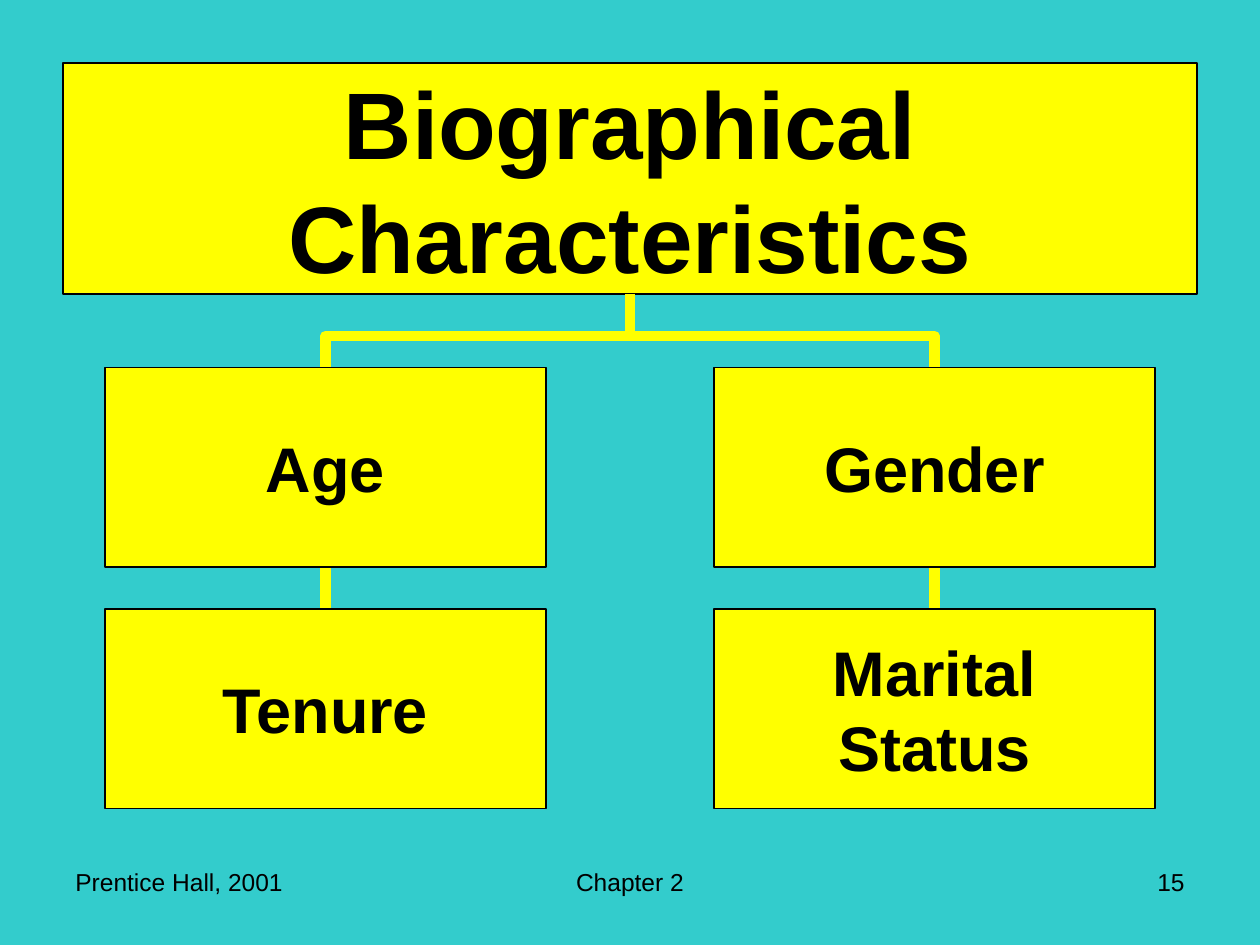
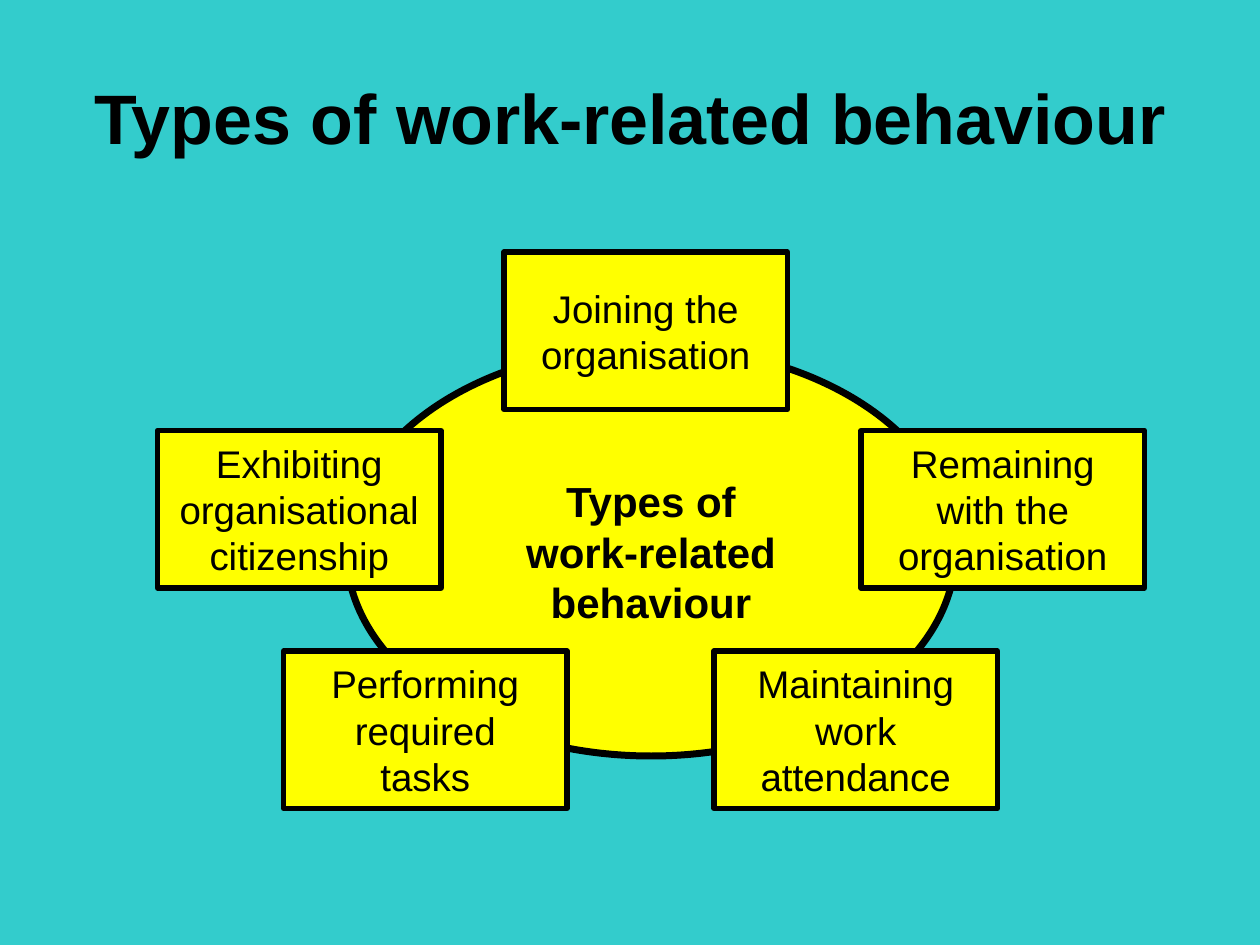
from lxml.etree import SubElement
from pptx import Presentation
from pptx.dml.color import RGBColor
from pptx.enum.shapes import MSO_CONNECTOR as Connector, MSO_SHAPE as Shape
from pptx.enum.text import MSO_ANCHOR as Anchor, PP_ALIGN as Align
from pptx.oxml.ns import qn
from pptx.util import Inches, Pt

TURQUOISE = RGBColor(0x33, 0xCC, 0xCC)
YELLOW = RGBColor(0xFF, 0xFF, 0x00)
BLACK = RGBColor(0x00, 0x00, 0x00)
FONT = "Arial"

presentation = Presentation()
presentation.slide_width = Inches(10)
presentation.slide_height = Inches(7.5)

# Every length is a number of grid cells: the slide is 120 columns by 90 rows
CELL = presentation.slide_width // 120
MARGIN, CONTENT_WIDTH = 6, 108


def add_text(slide, text, left, top, width, height, *, size, bold=False,
             align=Align.CENTER, anchor=Anchor.MIDDLE, wrap=True,
             outline=None, preset=Shape.RECTANGLE):
    """Add a text box, or a yellow shape if an outline width is given.

    A newline starts a paragraph, a vertical tab breaks the line.
    """
    frame = [round(cells * CELL) for cells in (left, top, width, height)]
    if outline is None:
        shape = slide.shapes.add_textbox(*frame)
    else:
        shape = slide.shapes.add_shape(preset, *frame)
        shape.shadow.inherit = False
        shape.fill.solid()
        shape.fill.fore_color.rgb = YELLOW
        shape.line.color.rgb = BLACK
        shape.line.width = Pt(outline)
    text_frame = shape.text_frame
    text_frame.word_wrap = wrap
    text_frame.vertical_anchor = anchor
    text_frame.text = text
    for paragraph in text_frame.paragraphs:
        paragraph.alignment = align
        for run in paragraph.runs:
            run.font.name = FONT
            run.font.size = Pt(size)
            run.font.bold = bold
            run.font.color.rgb = BLACK
    return shape


def add_slide():
    slide = presentation.slides.add_slide(presentation.slide_layouts[6])
    slide.background.fill.solid()
    slide.background.fill.fore_color.rgb = TURQUOISE
    return slide


# Slide 1: tree of biographical characteristics
slide = add_slide()
TITLE_HEIGHT = 22
title_bottom = MARGIN + TITLE_HEIGHT
add_text(slide, "Biographical\vCharacteristics", MARGIN, MARGIN, CONTENT_WIDTH,
         TITLE_HEIGHT, size=54, bold=True, outline=1)

BOX_WIDTH, BOX_HEIGHT = 42, 19
UPPER_TOP, LOWER_TOP = 35, 58
branches = [(10, "Age", "Tenure"), (68, "Gender", "Marital\nStatus")]
for left, upper_text, lower_text in branches:
    # Link behind the two boxes of a branch
    link = slide.shapes.add_connector(Connector.STRAIGHT, 0, 0, 0, 0)
    link.line.color.rgb = YELLOW
    link.line.width = Pt(6)
    SubElement(link.element.spPr, qn("a:effectLst"))

    upper, lower = [
        add_text(slide, text, left, top, BOX_WIDTH, BOX_HEIGHT,
                 size=36, bold=True, wrap=False, outline=1)
        for text, top in ((upper_text, UPPER_TOP), (lower_text, LOWER_TOP))]
    link.begin_connect(upper, 2)
    link.end_connect(lower, 0)

    # Bent line from the title to the upper box
    middle = 60
    branch_x = left + BOX_WIDTH / 2
    bend_y = (title_bottom + UPPER_TOP) / 2
    builder = slide.shapes.build_freeform(middle, title_bottom, scale=CELL)
    builder.add_line_segments(
        [(middle, bend_y), (branch_x, bend_y), (branch_x, UPPER_TOP)],
        close=False)
    bent_line = builder.convert_to_shape()
    bent_line.shadow.inherit = False
    bent_line.fill.background()
    bent_line.line.color.rgb = YELLOW
    bent_line.line.width = Pt(6)
    SubElement(bent_line.line._get_or_add_ln(), qn("a:round"))

# Footer
for text, left, width, align in [
        ("Prentice Hall, 2001", MARGIN, 28, Align.LEFT),
        ("Chapter 2", 41, 38, Align.CENTER),
        ("15", 86, 28, Align.RIGHT)]:
    add_text(slide, text, left, 82, width, 6.25, size=14, align=align,
             anchor=Anchor.TOP)

# Slide 2: five behaviours around an ellipse
slide = add_slide()
add_text(slide, "Types of\vwork-related\vbehaviour", 33, 33, 58, 39, size=24,
         bold=True, wrap=False, outline=4, preset=Shape.OVAL)
for text, left, top in [
        ("Joining the\vorganisation", 48, 24),
        ("Remaining\vwith the\vorganisation", 82, 41),
        ("Maintaining\vwork\vattendance", 68, 62),
        ("Exhibiting\vorganisational\vcitizenship", 15, 41),
        ("Performing\vrequired\vtasks", 27, 62)]:
    add_text(slide, text, left, top, 27, 15, size=22, wrap=False, outline=3)
add_text(slide, "Types of work-related behaviour", MARGIN, 3.6, CONTENT_WIDTH,
         15, size=40, bold=True)

presentation.save("out.pptx")
